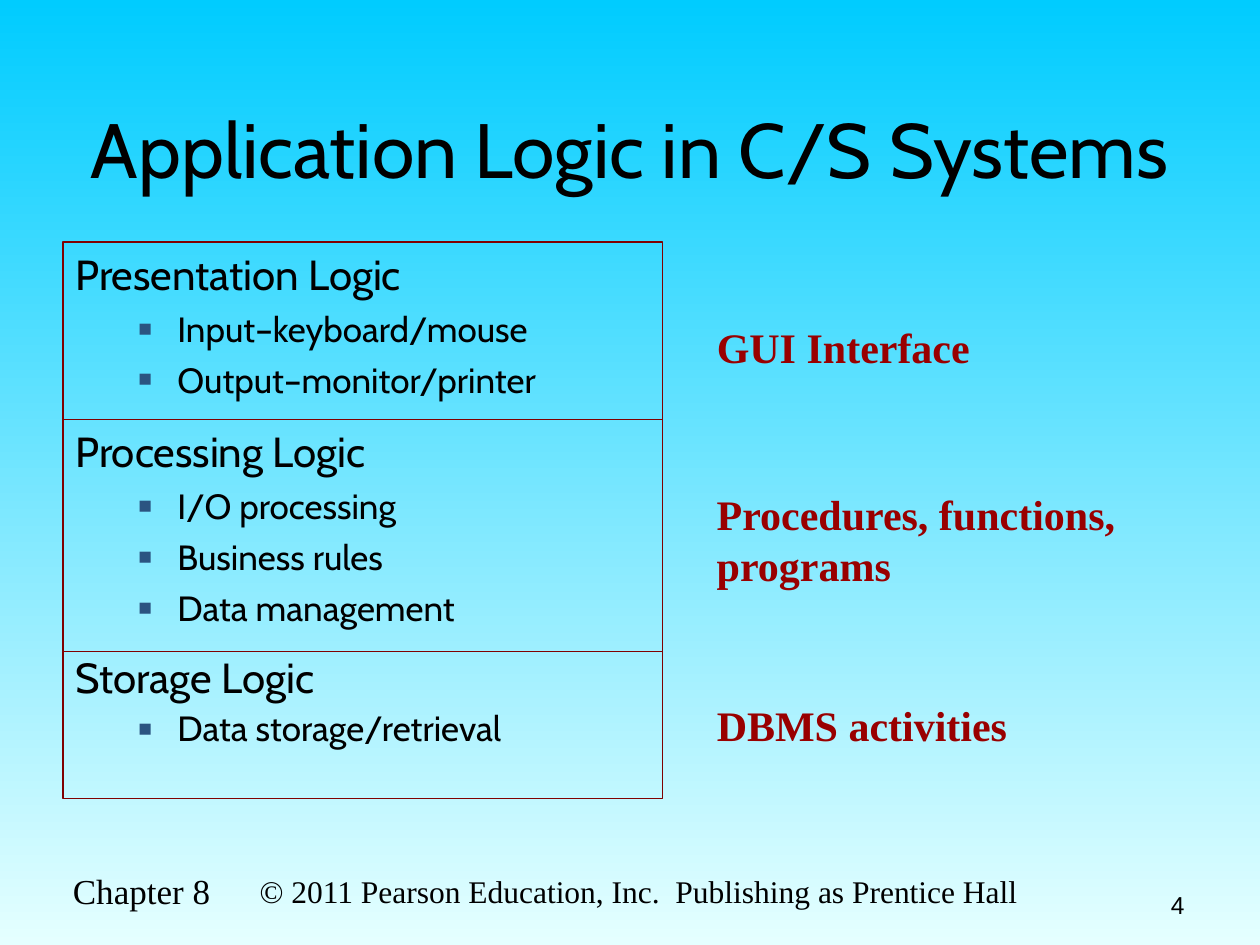
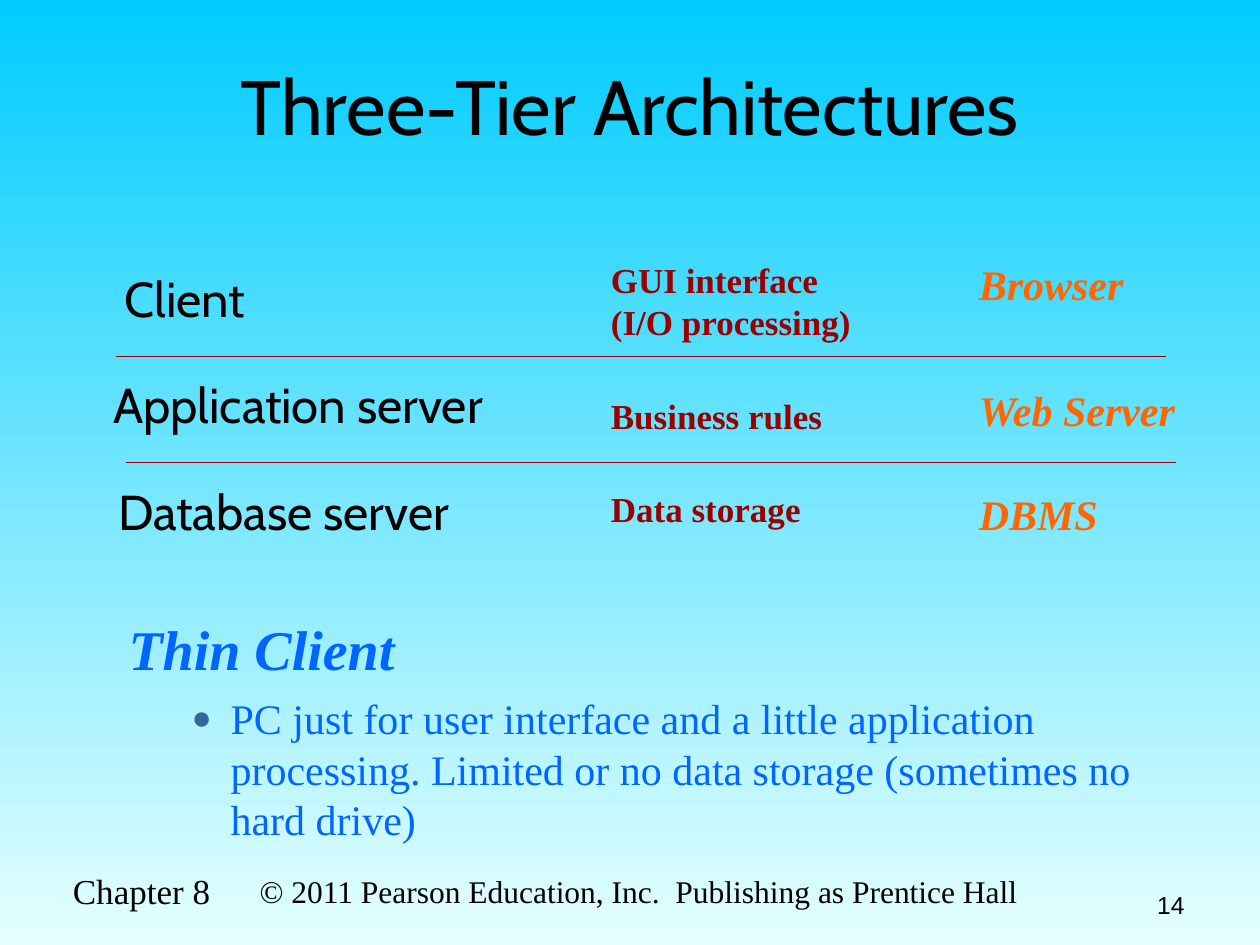
from dataclasses import dataclass

from lxml.etree import SubElement
from pptx import Presentation
from pptx.dml.color import RGBColor
from pptx.enum.shapes import MSO_CONNECTOR as Connector, MSO_SHAPE as Shape
from pptx.enum.text import MSO_ANCHOR as Anchor, MSO_AUTO_SIZE as AutoSize, PP_ALIGN as Align
from pptx.oxml.ns import qn
from pptx.util import Inches, Pt


@dataclass(frozen=True)
class TextStyle:
    size: float
    font: str
    color: str = "000000"
    bold: bool = False
    italic: bool = False


@dataclass(frozen=True)
class Bullet:
    symbol: str
    color: str
    percent: int
    space_before: float


@dataclass(frozen=True)
class Theme:
    sky_top: str = "00CCFF"
    sky_bottom: str = "E5FFFF"
    box_line: str = "800000"
    tier_line: str = "990000"
    # Text styles
    title = TextStyle(44, "Cabin")
    logic_heading = TextStyle(24, "Cabin")
    logic_item = TextStyle(20, "Cabin")
    tier = TextStyle(28, "Cabin")
    example = TextStyle(24, "Times New Roman", "990000", bold=True)
    role = TextStyle(20, "Times New Roman", "990000", bold=True)
    product = TextStyle(24, "Times New Roman", "FF6600", bold=True, italic=True)
    client_heading = TextStyle(32, "Times New Roman", "0066FF", bold=True, italic=True)
    client_item = TextStyle(24, "Times New Roman", "0066FF")
    chapter = TextStyle(20, "Times New Roman")
    copyright = TextStyle(18, "Times New Roman")
    page_number = TextStyle(14, "Arial")
    # Bullets
    square = Bullet("■", "2B5481", 65, 5)
    disc = Bullet("●", "336699", 80, 6)


THEME = Theme()


# Text helpers
def style_para(para, style, align=Align.LEFT):
    para.alignment = align
    for span in para.runs:
        font = span.font
        font.name, font.size = style.font, Pt(style.size)
        font.bold, font.italic = style.bold, style.italic
        font.color.rgb = RGBColor.from_string(style.color)


def indent_para(para, left, first=0):
    props = para._p.get_or_add_pPr()
    props.set("marL", str(Inches(left)))
    props.set("indent", str(Inches(first)))
    return props


def add_bullet(para, bullet):
    props = indent_para(para, 0.81, -0.31)
    color = SubElement(props, qn("a:buClr"))
    SubElement(color, qn("a:srgbClr"), val=bullet.color)
    SubElement(props, qn("a:buSzPct"), val=str(bullet.percent * 1000))
    SubElement(props, qn("a:buFont"), typeface="Arial")
    SubElement(props, qn("a:buChar"), char=bullet.symbol)


def fill_list(frame, heading, items, heading_style, item_style, bullet, spacing=1.0):
    """Write a plain heading followed by bulleted items."""
    frame.word_wrap = True
    frame.auto_size = AutoSize.NONE
    frame.vertical_anchor = Anchor.TOP
    frame.text = "\n".join([heading, *items])
    head, *rest = frame.paragraphs
    SubElement(indent_para(head, 0.38, -0.38), qn("a:buNone"))
    head.space_before = Pt(0)
    head.line_spacing = spacing
    style_para(head, heading_style)
    for para in rest:
        para.level = 1
        add_bullet(para, bullet)
        para.space_before = Pt(bullet.space_before)
        para.line_spacing = spacing
        style_para(para, item_style)


# Elements
def place(shape, left, top, width, height):
    shape.left, shape.top = Inches(left), Inches(top)
    shape.width, shape.height = Inches(width), Inches(height)


def add_label(page, text, area, style, wrap=False, grow=True,
              align=Align.LEFT, anchor=Anchor.TOP, indent=0):
    box = page.shapes.add_textbox(*map(Inches, area))
    frame = box.text_frame
    frame.word_wrap = wrap
    frame.auto_size = AutoSize.SHAPE_TO_FIT_TEXT if grow else AutoSize.NONE
    frame.vertical_anchor = anchor
    frame.text = text
    for para in frame.paragraphs:
        if indent:
            indent_para(para, indent)
        style_para(para, style, align)


def add_logic_box(page, top, height, heading, items, spacing):
    box = page.shapes.add_shape(Shape.RECTANGLE, *map(Inches, (0.5, top, 4.76, height)))
    box.shadow.inherit = False
    box.fill.background()
    box.line.color.rgb = RGBColor.from_string(THEME.box_line)
    box.line.width = Pt(0.75)
    fill_list(box.text_frame, heading, items, THEME.logic_heading,
              THEME.logic_item, THEME.square, spacing)


def add_tier_line(page, left, top):
    line = page.shapes.add_connector(
        Connector.STRAIGHT, *map(Inches, (left, top, left + 8.33, top)))
    line.line.color.rgb = RGBColor.from_string(THEME.tier_line)
    line.line.width = Pt(1)
    SubElement(line._element.spPr, qn("a:effectLst"))


# Parts that every page shares
def paint_background(master):
    fill = master.background.fill
    fill.gradient()
    fill.gradient_angle = 270
    for stop, color in zip(fill.gradient_stops, (THEME.sky_top, THEME.sky_bottom)):
        stop.color.rgb = RGBColor.from_string(color)


def add_page(deck, layout, title, title_top, number):
    page = deck.slides.add_slide(deck.slide_layouts[layout])
    heading = page.shapes.title
    place(heading, 0.5, title_top, 9, 1.5)
    frame = heading.text_frame
    frame.text = title
    frame.auto_size = AutoSize.NONE
    frame.vertical_anchor = Anchor.MIDDLE
    style_para(frame.paragraphs[0], THEME.title, Align.CENTER)

    add_label(page, "Chapter 8", (0.48, 6.85, 1.29, 0.44), THEME.chapter)
    add_label(page, "© 2011 Pearson Education, Inc.  Publishing as Prentice Hall",
              (1.58, 6.75, 6.98, 0.52), THEME.copyright, wrap=True, grow=False,
              align=Align.CENTER, anchor=Anchor.BOTTOM)
    add_label(page, str(number), (7.17, 6.83, 2.33, 0.52), THEME.page_number,
              wrap=True, grow=False, align=Align.RIGHT, anchor=Anchor.BOTTOM)
    return page


# Pages
def build_application_logic(deck):
    page = add_page(deck, 5, "Application Logic in C/S Systems", 0.42, 4)
    logic_boxes = [
        (1.41, "Presentation Logic", ["Input–keyboard/mouse", "Output–monitor/printer"], 1.0),
        (1.84, "Processing Logic", ["I/O processing", "Business rules", "Data management"], 1.0),
        (1.17, "Storage Logic", ["Data storage/retrieval"], 0.9),
    ]
    top = 1.92
    for height, heading, items, spacing in logic_boxes:
        add_logic_box(page, top, height, heading, items, spacing)
        top += height

    examples = [
        ("GUI Interface", 2.5, 2.25, 0.5),
        ("Procedures, functions,\nprograms", 3.83, 3.4, 0.9),
        ("DBMS activities", 5.5, 2.55, 0.5),
    ]
    for text, top, width, height in examples:
        add_label(page, text, (5.59, top, width, height), THEME.example)


def build_three_tiers(deck):
    page = add_page(deck, 1, "Three-Tier Architectures", 0.08, 14)
    body = page.placeholders[1]
    place(body, 0.92, 4.83, 8.5, 2)
    fill_list(body.text_frame, "Thin Client",
              ["PC just for user interface and a little application processing. "
               "Limited or no data storage (sometimes no hard drive)"],
              THEME.client_heading, THEME.client_item, THEME.disc)

    # Tier names, with their own left edges and indents
    tiers = [
        ("Client", 0.89, 2.08, 1.24, 0),
        ("Application server", 0.3, 2.92, 3.99, 0.5),
        ("Database server", 0.34, 3.77, 3.66, 0.5),
    ]
    for text, left, top, width, indent in tiers:
        add_label(page, text, (left, top, width, 0.57), THEME.tier, indent=indent)

    # What each tier does
    roles = [
        ("GUI interface\n(I/O processing)", 2, 2.67, 0.77),
        ("Business rules", 3.08, 2.17, 0.44),
        ("Data storage", 3.82, 2.17, 0.44),
    ]
    for text, top, width, height in roles:
        add_label(page, text, (4.75, top, width, height), THEME.role, wrap=True)

    # Software that serves each tier
    products = [("Browser", 2, 1.4), ("Web Server", 3, 1.8), ("DBMS", 3.83, 1.2)]
    for text, top, width in products:
        add_label(page, text, (7.67, top, width, 0.5), THEME.product)

    for left, top in ((0.92, 2.83), (1, 3.67)):
        add_tier_line(page, left, top)


def main():
    deck = Presentation()
    deck.slide_width, deck.slide_height = Inches(10), Inches(7.5)
    paint_background(deck.slide_master)
    build_application_logic(deck)
    build_three_tiers(deck)
    deck.save("out.pptx")


if __name__ == "__main__":
    main()
